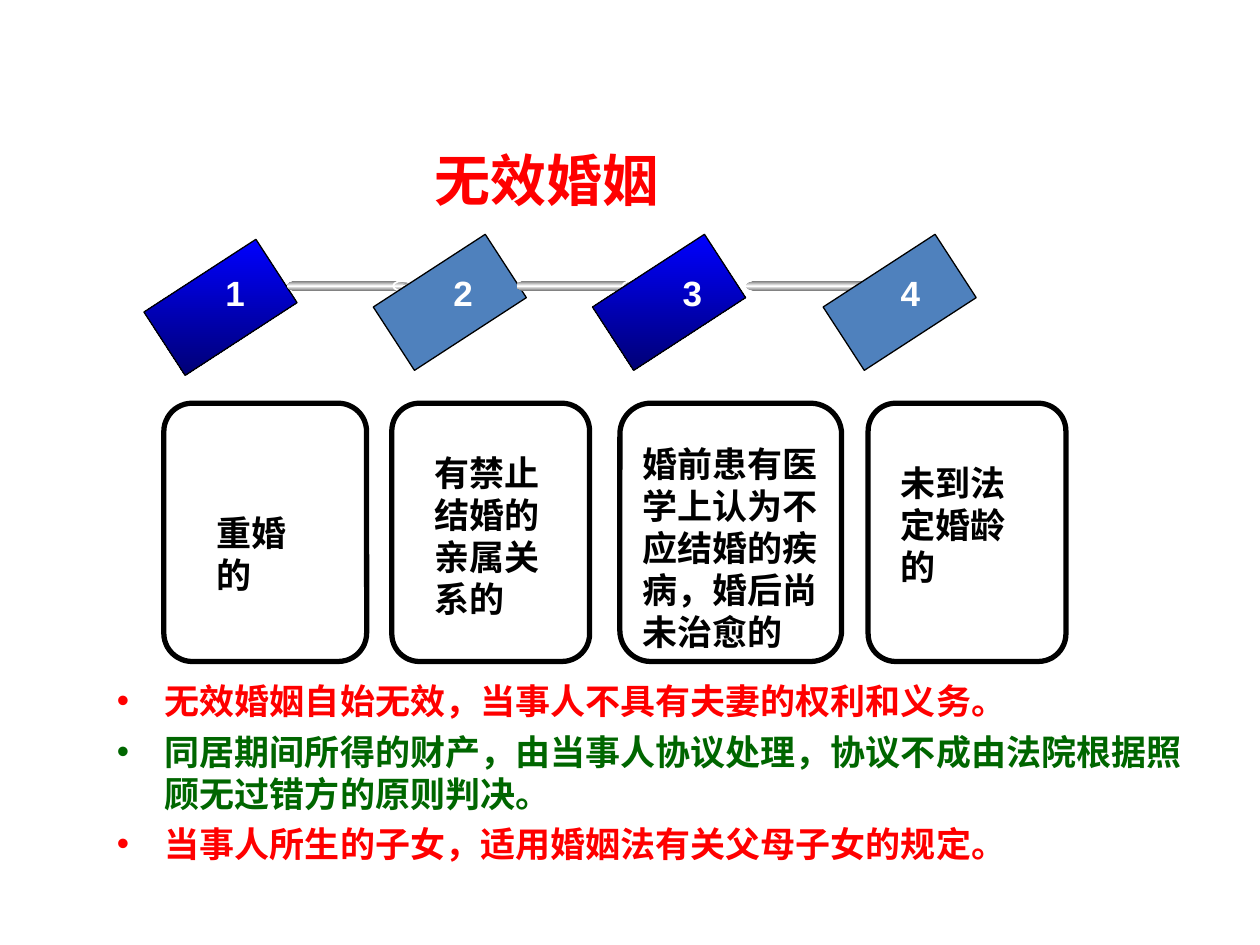
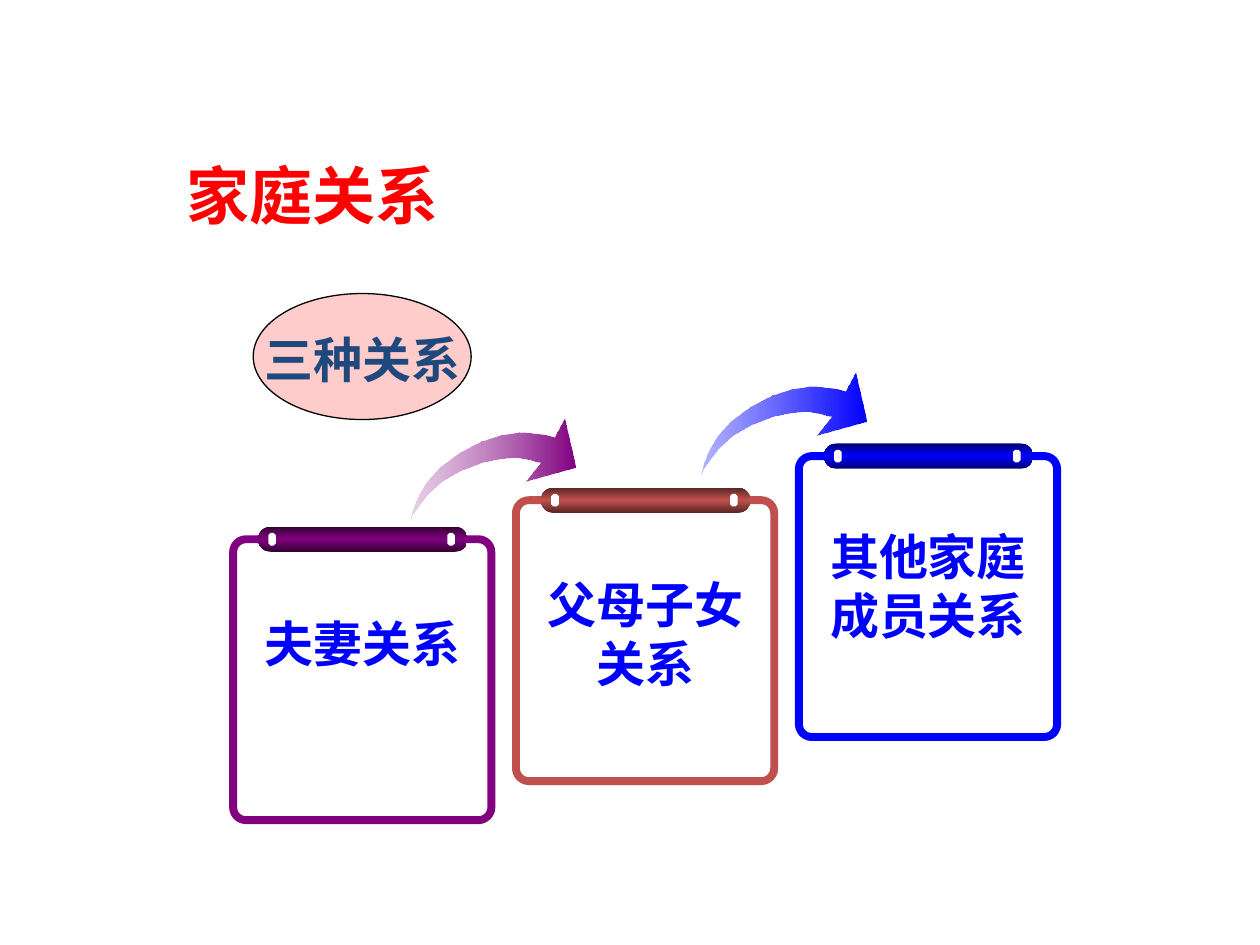
from lxml import etree
from pptx import Presentation
from pptx.dml.color import RGBColor
from pptx.enum.shapes import MSO_SHAPE
from pptx.enum.text import MSO_ANCHOR, PP_ALIGN
from pptx.oxml.ns import qn
from pptx.util import Inches, Pt

RECTANGLE = MSO_SHAPE.RECTANGLE
ROUNDED = MSO_SHAPE.ROUNDED_RECTANGLE
OVAL = MSO_SHAPE.OVAL
OCTAGON = MSO_SHAPE.OCTAGON
TEXT_BOX = None
LEFT, CENTER = PP_ALIGN.LEFT, PP_ALIGN.CENTER
MIDDLE = MSO_ANCHOR.MIDDLE

RED, GREEN, BLUE, NAVY = "FF0000", "006600", "0000FF", "000076"
BLACK, WHITE, STEEL = "000000", "FFFFFF", "4F81BD"
METAL = ["767676", WHITE, "767676"]
LATIN_FONT, CHINESE_FONT = "Arial", "Noto Sans CJK SC"
TITLE = dict(color=RED, font=CHINESE_FONT)

deck = Presentation()
deck.slide_width, deck.slide_height = Inches(10), Inches(7.5)
BLANK = deck.slide_layouts[6]
# All places are counted on a grid of 100 columns by 75 rows of square cells.
CELL = deck.slide_width // 100


def draw(page, outline, left, top, width=0, height=0, fill=None, line=None,
         weight=0.75, angle=90, start_opacity=100, corner=None, turn=0):
    """Add a preset shape, a text box, or a freeform when outline is a list of points.

    A list as fill is a gradient with evenly spaced stops.
    """
    cells = [round(value * CELL) for value in (left, top, width, height)]
    if outline is TEXT_BOX:
        return page.shapes.add_textbox(*cells)
    if isinstance(outline, list):
        builder = page.shapes.build_freeform(*outline[0], scale=CELL / 10)
        builder.add_line_segments(outline[1:], close=True)
        shape = builder.convert_to_shape(*cells[:2])
    else:
        shape = page.shapes.add_shape(outline, *cells)
    shape.shadow.inherit = False
    shape.rotation = turn
    if corner is not None:
        shape.adjustments[0] = corner
    if isinstance(fill, list):
        shape.fill.gradient()
        shape.fill.gradient_angle = (360 - angle) % 360
        stops = shape.element.spPr.find(qn("a:gradFill")).find(qn("a:gsLst"))
        for stop in list(stops):
            stops.remove(stop)
        for index, color in enumerate(fill):
            position = 100000 * index // (len(fill) - 1)
            stop = etree.SubElement(stops, qn("a:gs"), pos=str(position))
            tint = etree.SubElement(stop, qn("a:srgbClr"), val=color)
            if index == 0 and start_opacity < 100:
                etree.SubElement(tint, qn("a:alpha"), val=str(start_opacity * 1000))
    elif fill:
        shape.fill.solid()
        shape.fill.fore_color.rgb = RGBColor.from_string(fill)
    else:
        shape.fill.background()
    if line:
        shape.line.color.rgb = RGBColor.from_string(line)
        shape.line.width = Pt(weight)
    else:
        shape.line.fill.background()
    return shape


def write(shape, text, size=20, color=BLACK, font=LATIN_FONT, align=LEFT,
          wrap=True, bullet=False):
    """Add one bold paragraph to the shape, after any text it already has."""
    frame = shape.text_frame
    frame.word_wrap = wrap
    frame.margin_top = Pt(3.6 + 0.08 * size)
    para = frame.add_paragraph() if frame.text else frame.paragraphs[0]
    para.alignment = align
    para.line_spacing = Pt(1.2 * size)
    if bullet:
        para.space_before = Pt(5)
        settings = para._p.get_or_add_pPr()
        settings.set("marL", str(Inches(0.38)))
        settings.set("indent", str(-Inches(0.38)))
        bullet_color = etree.SubElement(settings, qn("a:buClr"))
        etree.SubElement(bullet_color, qn("a:srgbClr"), val=color)
        etree.SubElement(settings, qn("a:buFont"), typeface=LATIN_FONT)
        etree.SubElement(settings, qn("a:buChar"), char="•")
    span = para.add_run()
    span.text = text
    span.font.size, span.font.bold, span.font.name = Pt(size), True, font
    span.font.color.rgb = RGBColor.from_string(color)
    etree.SubElement(span.font._element, qn("a:ea"), typeface=CHINESE_FONT)


# Slide 1: void marriage
page = deck.slides.add_slide(BLANK)

# Frame left and width, then text left, top, width and words
grounds = [
    (13, 16.1, 16.2, 39.9, 10.3, "重婚的"),
    (31.1, 15.7, 33.5, 35.1, 11.2, "有禁止结婚的亲属关系的"),
    (49.2, 17.6, 50, 34.4, 17.3, "婚前患有医学上认为不应结婚的疾病，婚后尚未治愈的"),
    (68.9, 15.7, 70.5, 35.9, 11.8, "未到法定婚龄的"),
]
for left, width, *_ in grounds:
    draw(page, ROUNDED, left, 32, width, 20.5, line=BLACK, weight=3, corner=0.14)

# Number tags joined by metal rods: tag left, tag top, rod left, rod stretch
tags = [(14.5, 19.1, 22.8, 1), (32.7, 18.7, 41, 1), (50.1, 18.7, 59.2, 1.3), (68.4, 18.7, None, 1)]
rod_parts = [(OVAL, 0, 0, 1.7, 0.8, None), (RECTANGLE, 0.9, 0, 8.2, 0.8, None),
             (OVAL, 8.4, 0, 1.5, 0.8, WHITE), (OVAL, 9.2, 0.2, 0.4, 0.3, None)]
for index, (left, top, rod_left, stretch) in enumerate(tags):
    tag_fill = STEEL if index % 2 else [BLUE, NAVY]
    draw(page, RECTANGLE, left, top, 6, 10.6, fill=tag_fill, line=BLACK, angle=33, turn=57)
    if rod_left is None:
        continue
    for outline, shift, drop, width, height, edge in rod_parts:
        draw(page, outline, rod_left + shift * stretch, 22.3 + drop, width * stretch, height,
             fill=METAL, line=edge, weight=1)

for number, left in enumerate((16.9, 35, 53.2, 70.5), start=1):
    write(draw(page, TEXT_BOX, left, 20.8, 3.5, 4.4), str(number), color=WHITE, wrap=False)
for _, _, left, top, width, words in grounds:
    write(draw(page, TEXT_BOX, left, top, width, 14), words, wrap=len(words) > 3)

write(draw(page, TEXT_BOX, 33.5, 10.7, 23.6, 8.6), "无效婚姻", size=32, **TITLE)
effects = draw(page, TEXT_BOX, 8.3, 53.2, 86.6, 11.8)
for words, color in [
    ("无效婚姻自始无效，当事人不具有夫妻的权利和义务。", RED),
    ("同居期间所得的财产，由当事人协议处理，协议不成由法院根据照顾无过错方的原则判决。", GREEN),
    ("当事人所生的子女，适用婚姻法有关父母子女的规定。", RED),
]:
    write(effects, words, color=color, bullet=True)

# Slide 2: family relations
page = deck.slides.add_slide(BLANK)
write(draw(page, TEXT_BOX, 13.8, 11.5, 24.4, 8.6), "家庭关系", size=36, **TITLE)

# Curved arrow, in tenths of a cell: outer edge, head, inner edge
arrow = [
    (0, 81), (2, 76), (7, 69), (14, 60), (25, 50), (39, 42), (57, 35), (73, 32),
    (85, 31), (95, 33), (103, 35), (91, 50), (131, 39), (122, 0), (114, 15),
    (106, 13), (98, 12), (86, 11), (72, 13), (56, 18), (39, 27), (24, 38),
    (13, 50), (6, 62), (2, 72),
]
for left, top, tint, color in [(55.7, 29.6, "1717FF", BLUE), (32.6, 33.2, "B66CB6", "800080")]:
    draw(page, arrow, left, top, fill=[tint, color], angle=0, start_opacity=32)

# Clipboards rising to the right: top, text top, colour, dark edge, lines of text
clipboards = [
    (42.8, 47.9, "800080", "320032", ["夫妻关系"]),
    (39.7, 44.8, "C0504D", "592524", ["父母子女", "关系"]),
    (36.2, 41, BLUE, NAVY, ["其他家庭", "成员关系"]),
]
for column, (top, text_top, color, dark, lines) in enumerate(clipboards):
    left = 18.5 + 22.45 * column
    draw(page, ROUNDED, left, top, 20.5, 22.3, line=color, weight=4.5, corner=0.05)
    draw(page, ROUNDED, left + 2, top - 1, 16.6, 2, fill=[dark, color, dark], corner=0.5)
    for hole in (2.8, 17):
        draw(page, OCTAGON, left + hole, top - 0.5, 0.6, 1, fill=WHITE, corner=0.29)
    label = draw(page, TEXT_BOX, left + 0.7, text_top, 19.1, 10.4)
    for words in lines:
        write(label, words, size=28, color=BLUE, align=CENTER)

oval = draw(page, OVAL, 20.1, 23.3, 17.3, 10, fill="FFCCCC", line=BLACK)
oval.text_frame.vertical_anchor = MIDDLE
write(oval, "三种关系", size=28, color="1F497D", align=CENTER, wrap=False)

deck.save("out.pptx")
